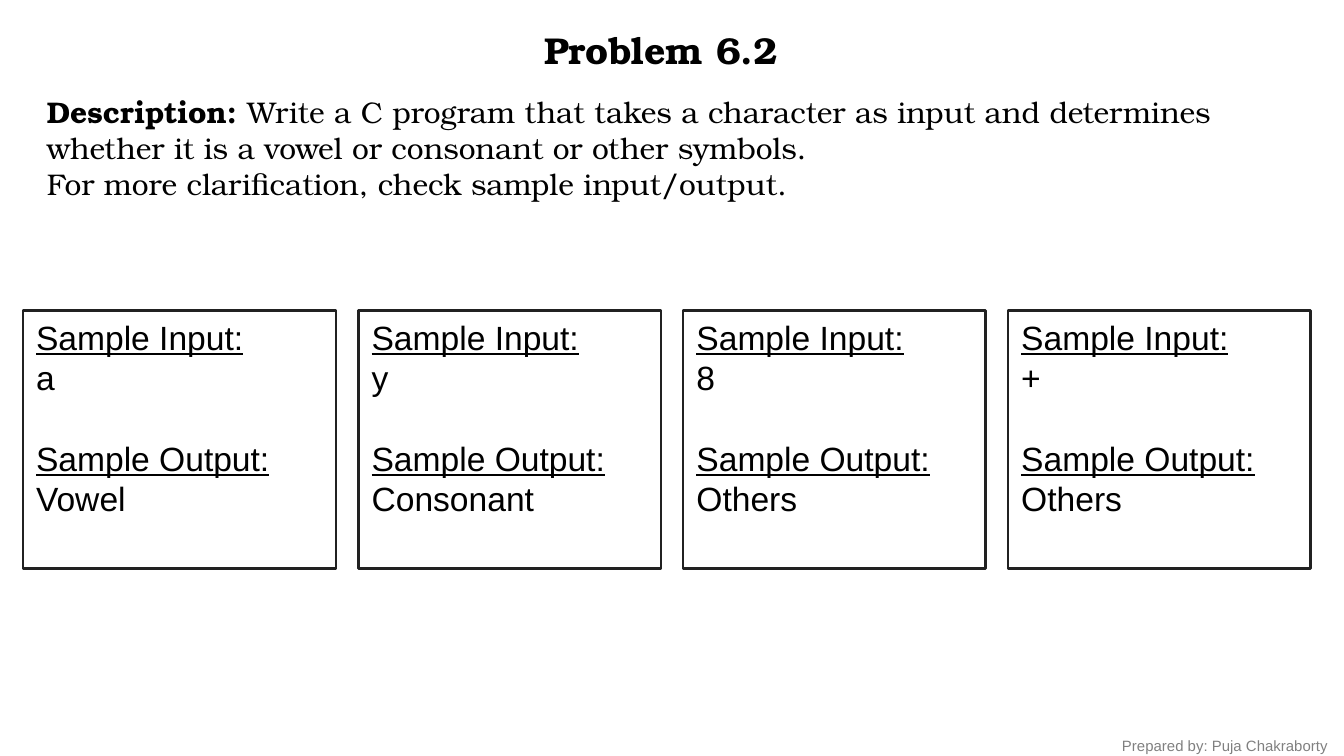
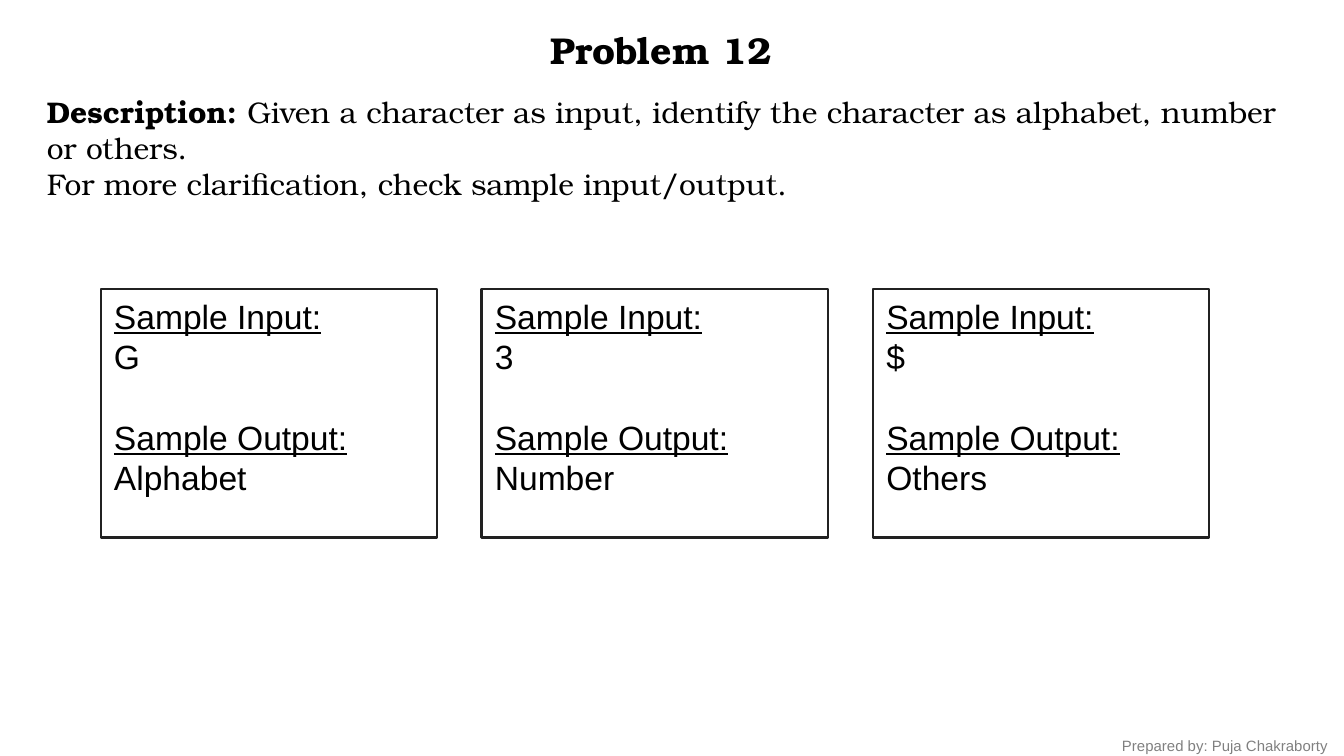
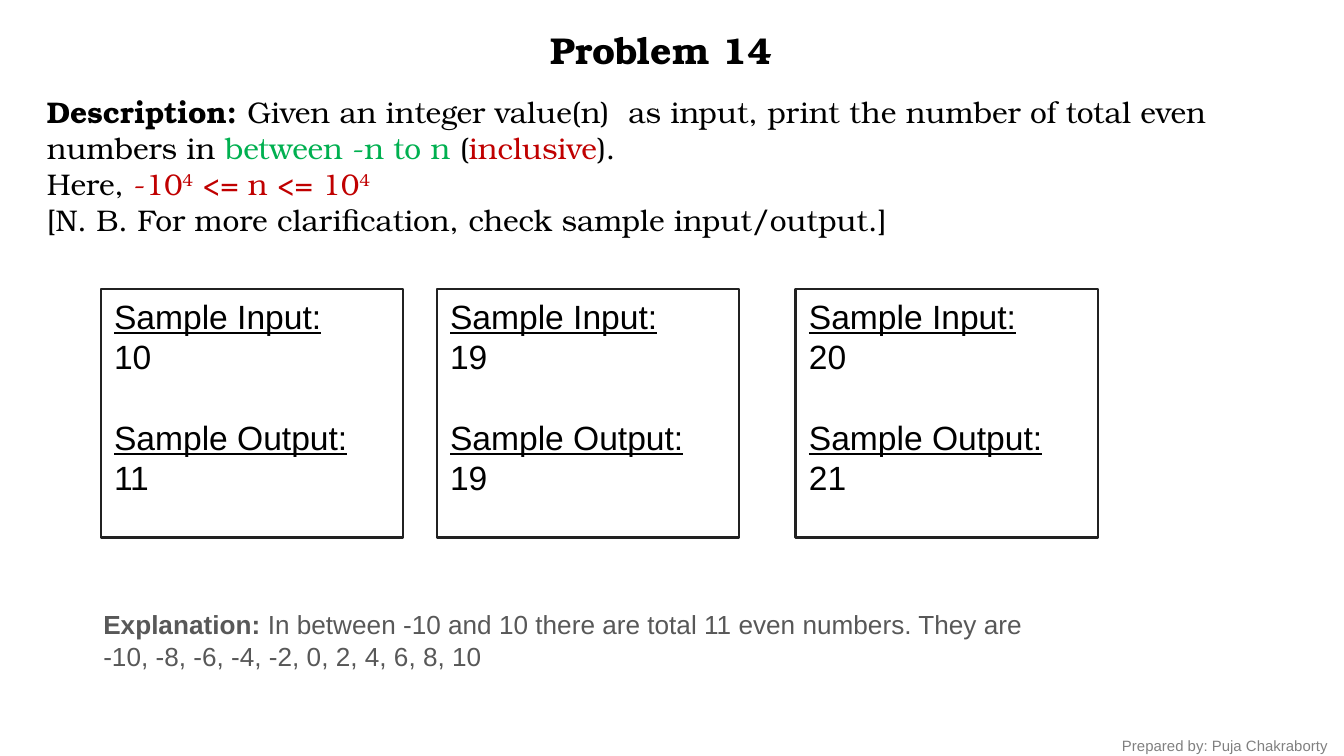
from dataclasses import dataclass

from pptx import Presentation
from pptx.dml.color import RGBColor
from pptx.enum.shapes import MSO_SHAPE as Shape
from pptx.enum.text import MSO_ANCHOR as Anchor, PP_ALIGN as Align
from pptx.util import Inches, Pt

BLACK = RGBColor(0x00, 0x00, 0x00)
OUTLINE = RGBColor(0x21, 0x21, 0x21)
GRAY = RGBColor(0x58, 0x58, 0x58)
FOOTER_GRAY = RGBColor(0x80, 0x80, 0x80)
GREEN = RGBColor(0x00, 0xB0, 0x50)
RED = RGBColor(0xC0, 0x00, 0x00)

SERIF = "TeX Gyre Bonum"
SANS = "Arial"
CARD_LINE_HEIGHT = Pt(21.6)


@dataclass
class Span:
    text: str
    color: RGBColor | None = None
    bold: bool = False
    raised: bool = False


@dataclass
class Sample:
    given: str
    result: str
    width: float = 2.25
    shift: float = 0


class ProblemDeck:
    def __init__(self):
        self.deck = Presentation()
        self.deck.slide_width = Inches(10)
        self.deck.slide_height = Inches(10 * 9 / 16)
        self.page = None

    def add_problem(self, title, description, description_height=1.18):
        self.page = self.deck.slides.add_slide(self.deck.slide_layouts[6])
        self.text((2.17, 0.15, 5.5, 0.44), [[Span(title, bold=True)]],
                  SERIF, 20, align=Align.CENTER)
        first, *others = description
        self.text((0.25, 0.65, 9.58, description_height),
                  [[Span("Description: ", bold=True), *first], *others], SERIF, 16)
        self.text((8.25, 5.43, 1.83, 0.24), [[Span("Prepared by: Puja Chakraborty")]],
                  SANS, 8, FOOTER_GRAY)

    def style(self, para, font_name, size, color=BLACK, align=Align.LEFT):
        para.alignment = align
        para.font.name = font_name
        para.font.size = Pt(size)
        para.font.color.rgb = color

    def text(self, area, lines, font_name, size, color=BLACK, align=Align.LEFT):
        """Add a text box; each line is a list of spans."""
        box = self.page.shapes.add_textbox(*map(Inches, area))
        frame = box.text_frame
        frame.word_wrap = True
        for index, line in enumerate(lines):
            para = frame.add_paragraph() if index else frame.paragraphs[0]
            self.style(para, font_name, size, color, align)
            for span in line:
                run = para.add_run()
                run.text = span.text
                if span.bold:
                    run.font.bold = True
                run.font.color.rgb = span.color or color
                if span.raised:
                    run.font._element.set("baseline", "30000")

    def card(self, left, top, height, sample):
        box = self.page.shapes.add_shape(
            Shape.RECTANGLE, *map(Inches, (left, top, sample.width, height)))
        box.shadow.inherit = False
        box.fill.background()
        box.line.color.rgb = OUTLINE
        box.line.width = Pt(1.25)
        frame = box.text_frame
        frame.word_wrap = True
        frame.vertical_anchor = Anchor.TOP
        lines = ("Sample Input:", sample.given, "Sample Output:", sample.result)
        for index, line in enumerate(lines):
            para = frame.add_paragraph() if index else frame.paragraphs[0]
            para.text = line
            self.style(para, SANS, 18)
            para.font.underline = index % 2 == 0
            if index == 2:
                para.space_before = CARD_LINE_HEIGHT

    def card_row(self, left, top, height, gap, samples):
        """Place cards from left to right; a sample's shift widens the gap before it."""
        for sample in samples:
            left += sample.shift
            self.card(left, top, height, sample)
            left += sample.width + gap


def main():
    problems = ProblemDeck()
    clarification = [Span("For more clarification, check sample input/output.")]

    problems.add_problem("Problem 6.2", [
        [Span("Write a C program that takes a character as input and determines "
              "whether it is a vowel or consonant or other symbols.")],
        clarification,
    ], description_height=0.91)
    problems.card_row(0.17, 2.31, 1.92, 1 / 6, [
        Sample("a", "Vowel", width=2.33),
        Sample("y", "Consonant"),
        Sample("8", "Others"),
        Sample("+", "Others"),
    ])

    problems.add_problem("Problem 12", [
        [Span("Given a character as input, identify the character as alphabet, "
              "number or others.")],
        clarification,
    ])
    problems.card_row(0.75, 2.15, 1.85, 1 / 3, [
        Sample("G", "Alphabet", width=2.5),
        Sample("3", "Number", width=2.58),
        Sample("$", "Others", width=2.5),
    ])

    problems.add_problem("Problem 14", [
        [Span("Given an integer value(n)  as input, print the number of total even "
              "numbers in "),
         Span("between -n to n ", GREEN), Span("("), Span("inclusive", RED), Span(").")],
        [Span("Here, "), Span("-10", RED), Span("4", RED, raised=True),
         Span(" <= n <= 10", RED), Span("4", RED, raised=True)],
        [Span("[N. B. For more clarification, check sample input/output.]")],
    ])
    problems.card_row(0.75, 2.15, 1.85, 0.25, [
        Sample("10", "11"),
        Sample("19", "19"),
        Sample("20", "21", shift=0.17),
    ])
    problems.text((0.67, 4.48, 7.58, 0.57), [
        [Span("Explanation:", bold=True),
         Span(" In between -10 and 10 there are total 11 even numbers. They are")],
        [Span("-10, -8, -6, -4, -2, 0, 2, 4, 6, 8, 10")],
    ], SANS, 14, GRAY)

    problems.deck.save("out.pptx")


if __name__ == "__main__":
    main()
